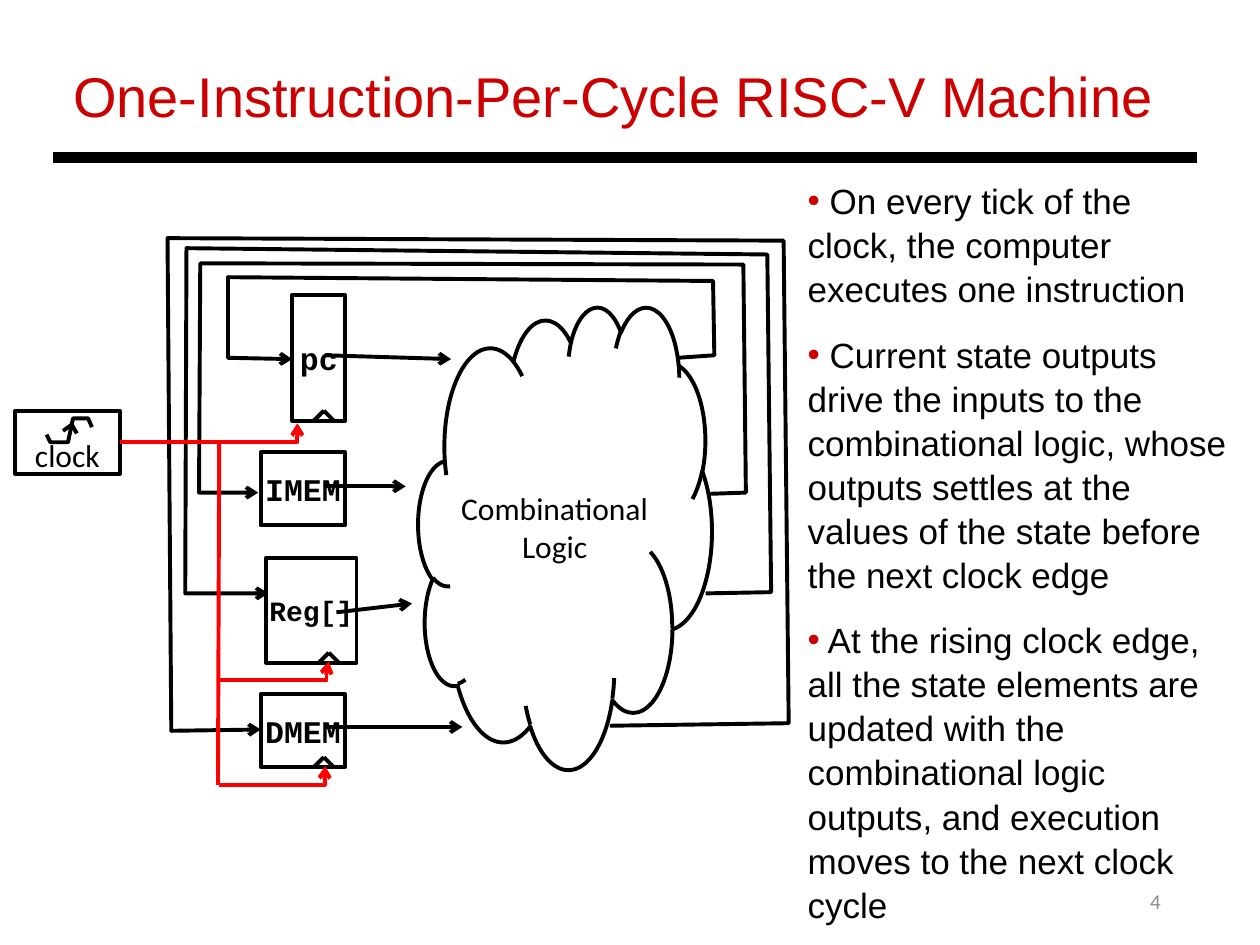
from dataclasses import dataclass
from typing import Optional

from lxml.etree import SubElement
from pptx import Presentation
from pptx.dml.color import RGBColor
from pptx.enum.shapes import MSO_CONNECTOR, MSO_SHAPE
from pptx.enum.text import MSO_ANCHOR, MSO_AUTO_SIZE, PP_ALIGN
from pptx.oxml.ns import qn
from pptx.util import Pt

PX = 9144
COLORS = {"black": "000000", "white": "FFFFFF", "title": "CC0000",
          "clock": "FF0000", "number": "8C8C8C"}
BODY = [
    " On every tick of the clock, the computer executes one instruction",
    " Current state outputs drive the inputs to the combinational logic, whose "
    "outputs settles at the values of the state before the next clock edge",
    " At the rising clock edge, all the state elements are updated with the "
    "combinational logic outputs, and execution moves to the next clock cycle",
]


@dataclass
class Block:
    text: str
    x: int
    y: int
    w: int
    h: int
    size: int = 18
    font: str = "Courier New"
    fill: Optional[str] = "white"
    shape: MSO_SHAPE = MSO_SHAPE.RECTANGLE
    anchor: MSO_ANCHOR = MSO_ANCHOR.MIDDLE
    notch: Optional[int] = None


@dataclass
class Wire:
    x1: int
    y1: int
    x2: int
    y2: int
    color: str = "black"
    width: float = 2.25
    arrow: bool = False
    elbow: bool = False
    bend: Optional[int] = None


@dataclass
class Path:
    points: list[tuple[int, int]]
    arrow: bool = False


STATE = [
    Block("Reg[]", 211, 443, 72, 83, size=16, notch=261),
    Block("pc", 232, 234, 42, 100, notch=257),
    Block("IMEM", 207, 359, 67, 58),
    Block("DMEM", 207, 551, 67, 58, notch=257),
]
CLOUD = Block("Combinational Logic", 332, 243, 233, 367, font="Calibri",
              fill=None, shape=MSO_SHAPE.CLOUD)
CLOCK = Block("clock", 12, 326, 83, 50, font="Calibri", fill=None,
              anchor=MSO_ANCHOR.BOTTOM)
OUTPUTS = [
    Wire(258, 282, 358, 285, arrow=True),
    Wire(258, 386, 322, 386, arrow=True),
    Wire(267, 486, 327, 479, arrow=True),
    Wire(258, 577, 367, 577, arrow=True),
]
FEEDBACK = [
    Path([(538, 284), (567, 282), (566, 223), (181, 220), (181, 284), (232, 285)], True),
    Path([(562, 392), (592, 391), (590, 210), (159, 209), (158, 391), (205, 391)], True),
    Path([(560, 471), (612, 470), (609, 202), (148, 197), (147, 471), (213, 471)], True),
    Path([(484, 576), (626, 574), (622, 191), (133, 189), (136, 580), (207, 579)], True),
]
EDGE_SYMBOL = [
    Path([(37, 345), (40, 351), (54, 351), (58, 332), (70, 332), (73, 339)]),
    Path([(50, 342), (57, 337), (61, 344)]),
]
CLOCK_TRUNK = Wire(173, 623, 174, 350, color="clock")
CLOCK_BRANCHES = [
    Wire(95, 351, 236, 336, color="clock", arrow=True, elbow=True),
    Wire(173, 540, 261, 525, color="clock", arrow=True, elbow=True, bend=97900),
    Wire(174, 623, 258, 608, color="clock", arrow=True, elbow=True, bend=99600),
]


def rgb(name: str) -> RGBColor:
    return RGBColor.from_string(COLORS[name])


def place(sp, x: int, y: int, w: int, h: int) -> None:
    sp.left, sp.top, sp.width, sp.height = (v * PX for v in (x, y, w, h))


def add_run(p, text: str, size: int, font: str, color: str, bold: bool = False) -> None:
    r = p.add_run()
    r.text = text
    r.font.size, r.font.name, r.font.bold = Pt(size), font, bold
    r.font.color.rgb = rgb(color)


def style_line(sp, color: str = "black", width: float = 2.25, arrow: bool = False) -> None:
    sp.line.color.rgb = rgb(color)
    sp.line.width = Pt(width)
    if arrow:
        SubElement(sp.line._get_or_add_ln(), qn("a:tailEnd"), type="arrow")


def add_wire(s, wire: Wire) -> None:
    kind = MSO_CONNECTOR.ELBOW if wire.elbow else MSO_CONNECTOR.STRAIGHT
    sp = s.shapes.add_connector(kind, wire.x1 * PX, wire.y1 * PX, wire.x2 * PX, wire.y2 * PX)
    style_line(sp, wire.color, wire.width, wire.arrow)
    spPr = sp._element.spPr
    SubElement(spPr, qn("a:effectLst"))
    geom = spPr.find(qn("a:prstGeom"))
    if wire.bend is not None:
        SubElement(geom.find(qn("a:avLst")), qn("a:gd"), name="adj1", fmla=f"val {wire.bend}")
    elif wire.elbow:
        geom.set("prst", "bentConnector2")


def add_path(s, path: Path) -> None:
    fb = s.shapes.build_freeform(*path.points[0], scale=PX)
    fb.add_line_segments(path.points[1:], close=False)
    sp = fb.convert_to_shape()
    sp.fill.background()
    sp.shadow.inherit = False
    style_line(sp, arrow=path.arrow)


def add_block(s, block: Block) -> None:
    sp = s.shapes.add_shape(block.shape, 0, 0, 0, 0)
    place(sp, block.x, block.y, block.w, block.h)
    sp.shadow.inherit = False
    if block.fill:
        sp.fill.solid()
        sp.fill.fore_color.rgb = rgb(block.fill)
    else:
        sp.fill.background()
    style_line(sp)
    tf = sp.text_frame
    tf.word_wrap = True
    tf.vertical_anchor = block.anchor
    tf.margin_left = tf.margin_right = tf.margin_top = tf.margin_bottom = 0
    p = tf.paragraphs[0]
    p.alignment = PP_ALIGN.CENTER
    add_run(p, block.text, block.size, block.font, "black", block.font == "Courier New")
    if block.notch:
        base = block.y + block.h
        for side in (-8, 8):
            add_wire(s, Wire(block.notch + side, base, block.notch, base - 8))


def add_title(s) -> None:
    sp = s.shapes.title
    place(sp, 48, 43, 913, 64)
    tf = sp.text_frame
    tf.auto_size = MSO_AUTO_SIZE.NONE
    tf.vertical_anchor = MSO_ANCHOR.BOTTOM
    p = tf.paragraphs[0]
    p.alignment = PP_ALIGN.LEFT
    add_run(p, "One-Instruction-Per-Cycle RISC-V Machine", 32, "Arial", "title")


def add_body(s) -> None:
    sp = s.placeholders[1]
    place(sp, 631, 136, 353, 582)
    tf = sp.text_frame
    tf.auto_size = MSO_AUTO_SIZE.NONE
    for i, text in enumerate(BODY):
        p = tf.add_paragraph() if i else tf.paragraphs[0]
        p.space_before = Pt(12 if i else 0)
        p.line_spacing = 1.05
        pPr = p._p.get_or_add_pPr()
        pPr.set("marL", "0")
        pPr.set("indent", "0")
        SubElement(SubElement(pPr, qn("a:buClr")), qn("a:srgbClr"), val=COLORS["title"])
        SubElement(pPr, qn("a:buChar"), char="•")
        add_run(p, text, 20, "Arial", "black")


def add_number(s) -> None:
    sp = s.shapes.add_textbox(706 * PX, 695 * PX, 225 * PX, 40 * PX)
    tf = sp.text_frame
    tf.word_wrap = True
    tf.vertical_anchor = MSO_ANCHOR.MIDDLE
    p = tf.paragraphs[0]
    p.alignment = PP_ALIGN.RIGHT
    add_run(p, "4", 12, "Calibri", "number")


def main() -> None:
    prs = Presentation()
    prs.slide_width, prs.slide_height = 1000 * PX, 750 * PX
    s = prs.slides.add_slide(prs.slide_layouts[1])
    add_title(s)
    add_body(s)
    add_number(s)
    add_wire(s, Wire(42, 125, 950, 125, width=6))
    for block in STATE + [CLOUD]:
        add_block(s, block)
    for wire in OUTPUTS:
        add_wire(s, wire)
    for path in FEEDBACK:
        add_path(s, path)
    add_wire(s, CLOCK_TRUNK)
    for path in EDGE_SYMBOL:
        add_path(s, path)
    add_block(s, CLOCK)
    for wire in CLOCK_BRANCHES:
        add_wire(s, wire)
    prs.save("out.pptx")


if __name__ == "__main__":
    main()
